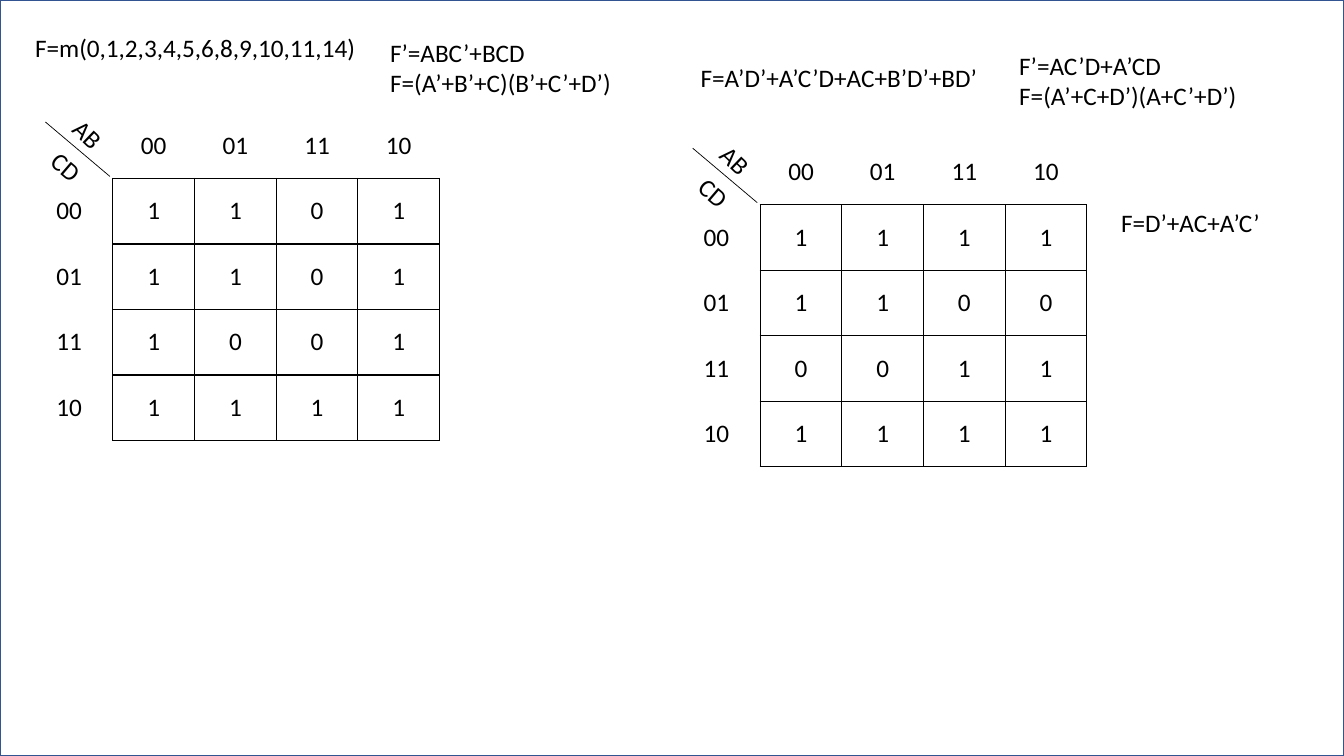
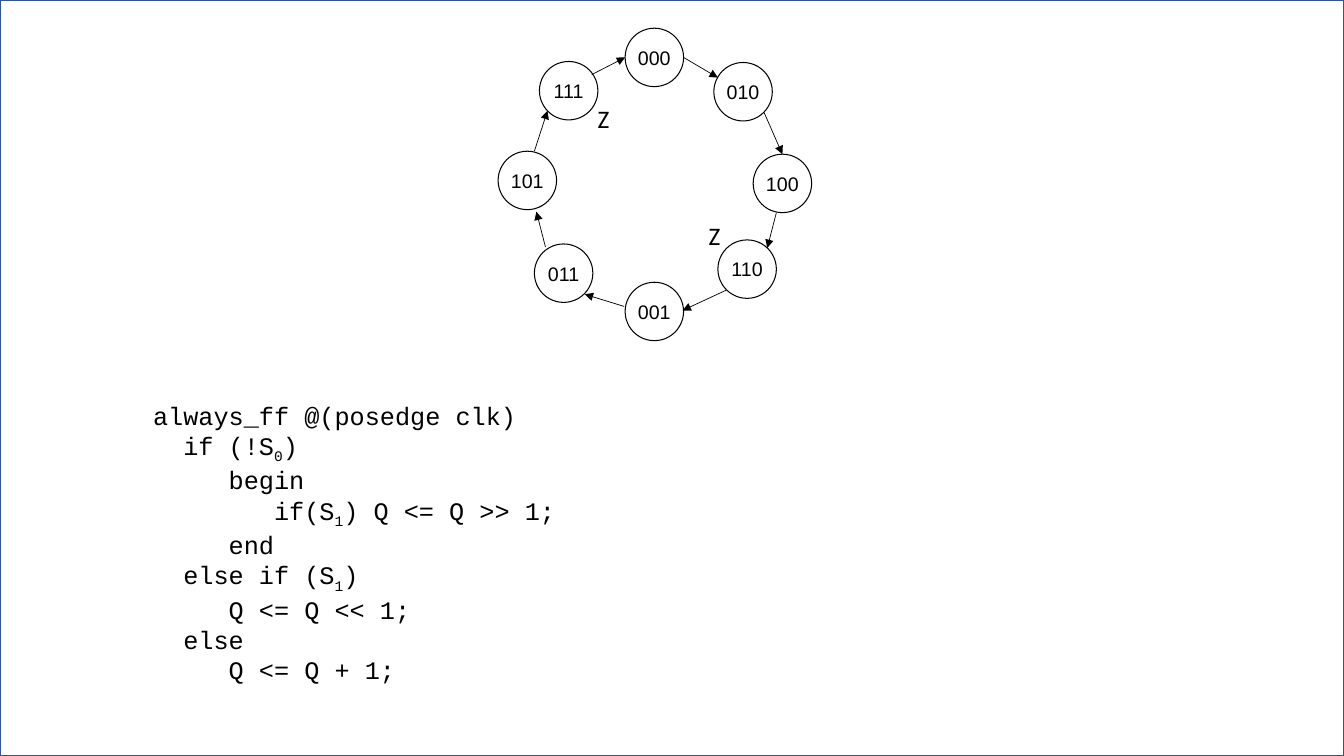
import pptx
import pptx.util
import pptx.dml.color
import pptx.enum.shapes
import pptx.enum.text
import pptx.oxml.ns
import lxml.etree

PX = 9144  # EMU per px, 100 px to the inch
WIDE, HIGH = 1333, 750
HEX = {"ink": "000000", "paper": "FFFFFF", "frame": "325491"}
FONT, MONO, SANS = "Calibri", "Courier New", "Arial"
KIND = pptx.enum.shapes.MSO_SHAPE
CENTER = pptx.enum.text.PP_ALIGN.CENTER
MIDDLE = pptx.enum.text.MSO_ANCHOR.MIDDLE

GRAY = ["00", "01", "11", "10"]
MAPS = [  # left, top, rows of the map
    (25, 112, ["1101", "1101", "1001", "1111"]),
    (667, 138, ["1111", "1100", "0011", "1111"]),
]
HEAD, CELL, ROW = 87, 81, 65  # label column, value column, row height

NOTES = [  # left, top, width, height, lines
    (25, 27, 493, 40, ["F=m(0,1,2,3,4,5,6,8,9,10,11,14)"]),
    (377, 32, 271, 71, ["F’=ABC’+BCD", "F=(A’+B’+C)(B’+C’+D’)"]),
    (685, 57, 300, 40, ["F=A’D’+A’C’D+AC+B’D’+BD’"]),
    (1001, 45, 271, 71, ["F’=AC’D+A’CD", "F=(A’+C+D’)(A+C’+D’)"]),
    (1102, 201, 159, 40, ["F=D’+AC+A’C’"]),
]

SIZE = 58
STATES = [  # label, left, top, arrow to the next state
    ("000", 620, 28, (678, 57, 712, 77)),
    ("010", 708, 62, (758, 112, 776, 153)),
    ("100", 747, 153, (770, 211, 761, 246)),
    ("110", 712, 238, (720, 288, 677, 308)),
    ("001", 620, 280, (619, 304, 580, 292)),
    ("011", 530, 242, (541, 245, 532, 210)),
    ("101", 494, 150, (530, 150, 543, 110)),
    ("111", 535, 61, (587, 74, 620, 57)),
]
OUTPUTS = [(583, 98), (693, 214)]

CODE = [  # a tuple holds text before, subscript, text after
    "always_ff @(posedge clk)",
    ("  if (!S", "0", ")"),
    "     begin",
    ("        if(S", "1", ") Q <= Q >> 1;"),
    "     end",
    ("  else if (S", "1", ")"),
    "     Q <= Q << 1;",
    "  else",
    "     Q <= Q + 1;",
]


def px(*nums):
    return [pptx.util.Emu(round(n * PX)) for n in nums]


def color(name):
    return pptx.dml.color.RGBColor.from_string(HEX[name])


def style(para, size=18, name=FONT, align=None):
    para.font.size = pptx.util.Pt(size)
    para.font.name = name
    para.font.color.rgb = color("ink")
    para.alignment = align


def inset(frame, gap=0):
    frame.margin_left = frame.margin_right = gap
    frame.margin_top = frame.margin_bottom = gap


def write(slide, box, lines, name=FONT, align=None, turn=0, tight=False):
    shape = slide.shapes.add_textbox(*px(*box))
    shape.rotation = turn
    frame = shape.text_frame
    frame.word_wrap = True
    if tight:
        inset(frame)
    for i, line in enumerate(lines):
        para = frame.add_paragraph() if i else frame.paragraphs[0]
        parts = (line,) if isinstance(line, str) else line
        for j, part in enumerate(parts):
            run = para.add_run()
            run.text = part
            if j == 1:
                run.font._element.set("baseline", "-25000")
        style(para, name=name, align=align)


def outline(slide, kind, box, ink, width):
    shape = slide.shapes.add_shape(kind, *px(*box))
    shape.shadow.inherit = False
    shape.fill.background()
    shape.line.color.rgb = color(ink)
    shape.line.width = pptx.util.Pt(width)
    return shape


def link(slide, ends, arrow=False):
    line = slide.shapes.add_connector(
        pptx.enum.shapes.MSO_CONNECTOR.STRAIGHT, *px(*ends))
    line.line.color.rgb = color("ink")
    line.line.width = pptx.util.Pt(0.5)
    qn = pptx.oxml.ns.qn
    if arrow:
        lxml.etree.SubElement(
            line.line._get_or_add_ln(), qn("a:tailEnd"), type="triangle")
    lxml.etree.SubElement(line._element.spPr, qn("a:effectLst"))


def border(cell, sides):
    """Draw the named sides of a cell and clear the others."""
    qn = pptx.oxml.ns.qn
    props = cell._tc.get_or_add_tcPr()
    for i, side in enumerate("LRTB"):
        edge = lxml.etree.Element(qn("a:ln" + side), w="12700")
        if side in sides:
            fill = lxml.etree.SubElement(edge, qn("a:solidFill"))
            lxml.etree.SubElement(fill, qn("a:srgbClr"), val=HEX["ink"])
        else:
            lxml.etree.SubElement(edge, qn("a:noFill"))
        props.insert(i, edge)


def sides(row, col):
    if row and col:
        return "LRTB"
    if row:
        return "R"
    return "B" if col else ""


def draw_map(slide, left, top, bits):
    """Draw a Karnaugh map with its slanted AB / CD corner."""
    grid = [["", *GRAY]] + [[g, *b] for g, b in zip(GRAY, bits)]
    count = len(grid)
    table = slide.shapes.add_table(count, count, *px(
        left, top, HEAD + CELL * len(GRAY), ROW * count)).table
    table.first_row = table.horz_banding = False
    for i in range(count):
        table.columns[i].width, table.rows[i].height = px(
            CELL if i else HEAD, ROW)
    for r, texts in enumerate(grid):
        for c, text in enumerate(texts):
            cell = table.cell(r, c)
            cell.text = text
            cell.vertical_anchor = MIDDLE
            inset(cell)
            cell.fill.solid()
            cell.fill.fore_color.rgb = color("paper")
            border(cell, sides(r, c))
            style(cell.text_frame.paragraphs[0], align=CENTER)
    link(slide, (left + 20, top + 9, left + 84, top + 63))
    write(slide, (left - 9, top + 38, 100, 30), ["CD"],
          align=CENTER, turn=40.5, tight=True)
    write(slide, (left + 46, top + 12, 45, 30), ["AB"],
          turn=43.7, tight=True)


def add_slide(deck):
    slide = deck.slides.add_slide(deck.slide_layouts[6])
    outline(slide, KIND.RECTANGLE, (0, 0, WIDE, HIGH), "frame", 1)
    return slide


def draw_maps(deck):
    slide = add_slide(deck)
    for item in MAPS:
        draw_map(slide, *item)
    for *box, lines in NOTES:
        write(slide, box, lines)


def draw_states(deck):
    slide = add_slide(deck)
    for label, left, top, ends in STATES:
        node = outline(slide, KIND.OVAL, (left, top, SIZE, SIZE), "ink", 0.75)
        frame = node.text_frame
        inset(frame)
        frame.word_wrap = True
        frame.vertical_anchor = MIDDLE
        frame.text = label
        style(frame.paragraphs[0], 14, SANS, CENTER)
        link(slide, ends, arrow=True)
    for left, top in OUTPUTS:
        write(slide, (left, top, 40, 40), ["Z"])
    write(slide, (142, 392, 450, 283), CODE, name=MONO)


def main():
    deck = pptx.Presentation()
    deck.slide_width, deck.slide_height = px(WIDE, HIGH)
    draw_maps(deck)
    draw_states(deck)
    deck.save("out.pptx")


if __name__ == "__main__":
    main()
